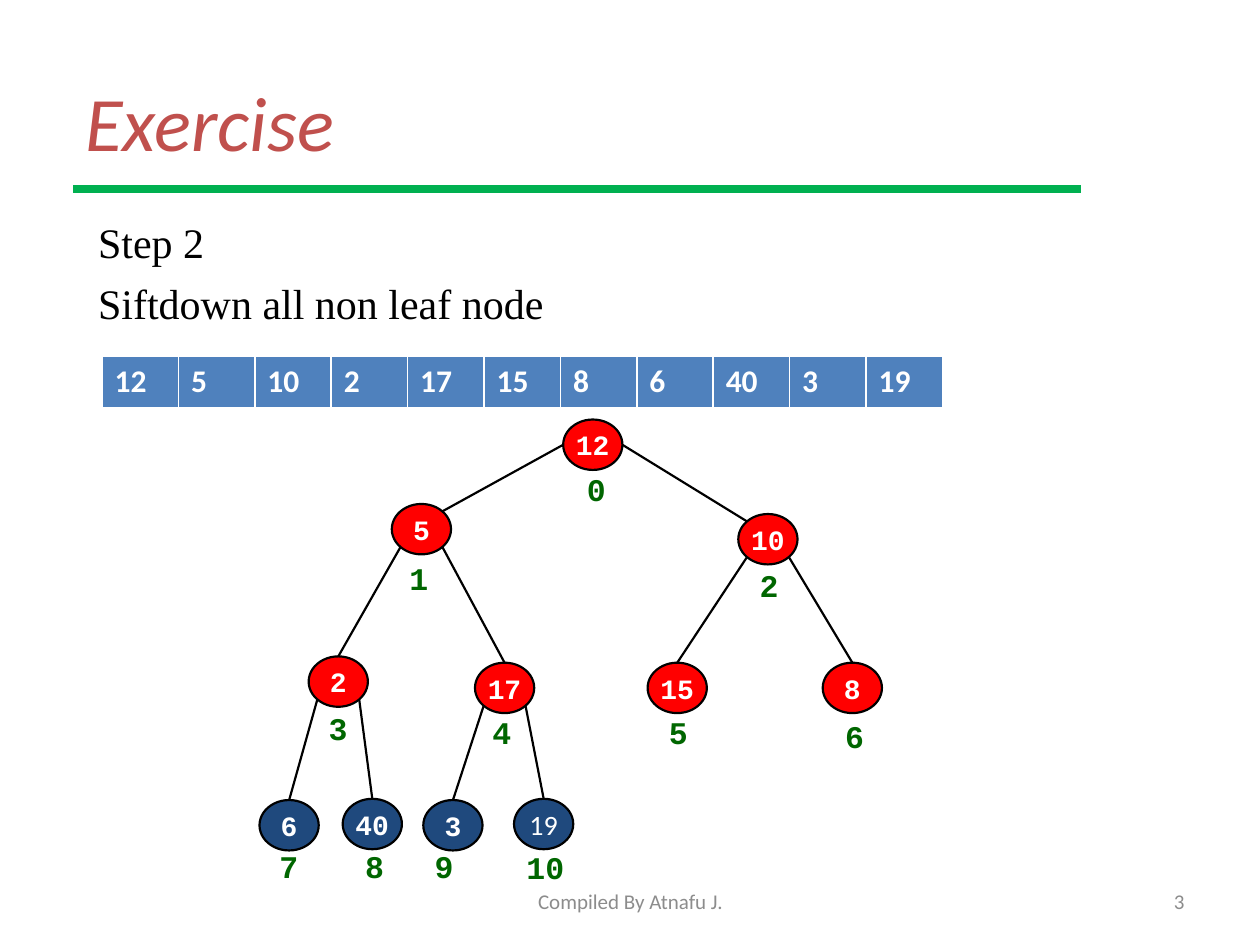
from dataclasses import dataclass

from lxml import etree
from pptx import Presentation
from pptx.dml.color import RGBColor
from pptx.enum import shapes, text
from pptx.oxml import ns
from pptx.util import Inches, Pt


@dataclass(frozen=True)
class Theme:
    title: str = "C0504D"
    rule: str = "00B050"
    ink: str = "000000"
    white: str = "FFFFFF"
    grey: str = "8C8C8C"
    inner: str = "FF0000"
    leaf: str = "1F497D"
    index: str = "006600"
    cell: str = "4F81BD"
    sans: str = "Calibri"
    serif: str = "Times New Roman"
    mono: str = "Courier New"
    head: int = 44
    body: int = 24
    label: int = 18
    key: int = 16
    foot: int = 12


T = Theme()
WIDE, HIGH = 0.47, 0.4  # size of a tree node
SLANT = 0.5 ** 0.5 / 2  # offset of an ellipse's diagonal points
KEYS = [12, 5, 10, 2, 17, 15, 8, 6, 40, 3, 19]
# Left and top of each node, in heap order
NODES = [(4.47, 3.33), (3.11, 4), (5.86, 4.08), (2.45, 5.21),
         (3.77, 5.26), (5.14, 5.26), (6.53, 5.26), (2.06, 6.35),
         (2.72, 6.34), (3.36, 6.35), (4.08, 6.34)]
# Left and top of each index label
MARKS = [(4.56, 3.68), (3.15, 4.39), (5.93, 4.44), (2.51, 5.58),
         (3.81, 5.61), (5.21, 5.61), (6.61, 5.64), (2.12, 6.67),
         (2.8, 6.67), (3.35, 6.67), (4.08, 6.68)]


def style(para, face, size, color, bold=False, italic=False):
    font = para.font
    font.name, font.size = face, Pt(size)
    font.bold, font.italic = bold, italic
    font.color.rgb = RGBColor.from_string(color)


def add_text(slide, box, lines, look, align=text.PP_ALIGN.LEFT,
             anchor=text.MSO_ANCHOR.TOP, gap=0):
    frame = slide.shapes.add_textbox(*map(Inches, box)).text_frame
    frame.word_wrap = True
    frame.vertical_anchor = anchor
    frame.text = "\n".join(lines)
    for num, para in enumerate(frame.paragraphs):
        para.alignment = align
        if num:
            para.space_before = Pt(gap)
        style(para, *look)


def add_line(slide, start, end, color, width):
    line = slide.shapes.add_connector(
        shapes.MSO_CONNECTOR.STRAIGHT, *map(Inches, (*start, *end)))
    line.line.color.rgb = RGBColor.from_string(color)
    line.line.width = Pt(width)
    etree.SubElement(line._element.spPr, ns.qn("a:effectLst"))


def add_node(slide, spot, key, color, look):
    node = slide.shapes.add_shape(
        shapes.MSO_SHAPE.OVAL, *map(Inches, (*spot, WIDE, HIGH)))
    node.shadow.inherit = False
    node.fill.solid()
    node.fill.fore_color.rgb = RGBColor.from_string(color)
    node.line.color.rgb = RGBColor.from_string(T.ink)
    node.line.width = Pt(1.25)
    frame = node.text_frame
    frame.word_wrap = False
    frame.vertical_anchor = text.MSO_ANCHOR.MIDDLE
    frame.text = str(key)
    para = frame.paragraphs[0]
    para.alignment = text.PP_ALIGN.CENTER
    style(para, *look)


def add_array(slide, box):
    table = slide.shapes.add_table(1, len(KEYS), *map(Inches, box)).table
    for cell, key in zip(table.iter_cells(), KEYS):
        cell.fill.solid()
        cell.fill.fore_color.rgb = RGBColor.from_string(T.cell)
        cell.text = str(key)
        style(cell.text_frame.paragraphs[0], T.sans, T.label, T.white, True)


def point(num, across, down):
    """Point on a node, as shares of its size away from the centre."""
    left, top = NODES[num]
    return left + WIDE * (0.5 + across), top + HIGH * (0.5 + down)


def add_tree(slide):
    # Edges from each parent to its children
    for child in range(1, len(NODES)):
        up = (child - 1) // 2
        side = -1 if child % 2 else 1
        if up == 0:
            start = point(up, side * 0.5, 0)
            end = point(child, -side * SLANT, -SLANT)
        else:
            start = point(up, side * SLANT, SLANT)
            end = point(child, 0, -0.5)
        add_line(slide, start, end, T.ink, 1.25)

    # Nodes; those without children are leaves of the last level
    for num, (spot, key) in enumerate(zip(NODES, KEYS)):
        color = T.inner if num < 7 else T.leaf
        last = num == len(KEYS) - 1
        look = (T.sans if last else T.mono, T.key, T.white, not last)
        add_node(slide, spot, key, color, look)

    # Array indexes under the nodes
    for num, spot in enumerate(MARKS):
        width = 0.33 if num < 9 else 0.55
        add_text(slide, (*spot, width, 0.4), [str(num)],
                 (T.mono, T.label, T.index, True))


def main():
    deck = Presentation()
    deck.slide_width, deck.slide_height = Inches(10), Inches(7.5)
    slide = deck.slides.add_slide(deck.slide_layouts[6])
    middle = text.MSO_ANCHOR.MIDDLE

    # Heading and instructions
    add_text(slide, (0.58, 0.33, 9, 1.25), ["Exercise"],
             (T.sans, T.head, T.title, False, True), anchor=middle)
    add_line(slide, (0.58, 1.5), (8.58, 1.5), T.rule, 4.25)
    add_text(slide, (0.68, 1.67, 8.5, 1.1),
             ["Step 2", "Siftdown all non leaf node"],
             (T.serif, T.body, T.ink), gap=6)

    # Heap as array and as tree
    add_array(slide, (0.81, 2.83, 6.67, 0.41))
    add_tree(slide)

    # Footer
    small = (T.sans, T.foot, T.grey)
    add_text(slide, (3.42, 6.95, 3.17, 0.4), ["Compiled By Atnafu J."],
             small, text.PP_ALIGN.CENTER, middle)
    add_text(slide, (7.17, 6.95, 2.33, 0.4), ["3"],
             small, text.PP_ALIGN.RIGHT, middle)
    deck.save("out.pptx")


if __name__ == "__main__":
    main()
